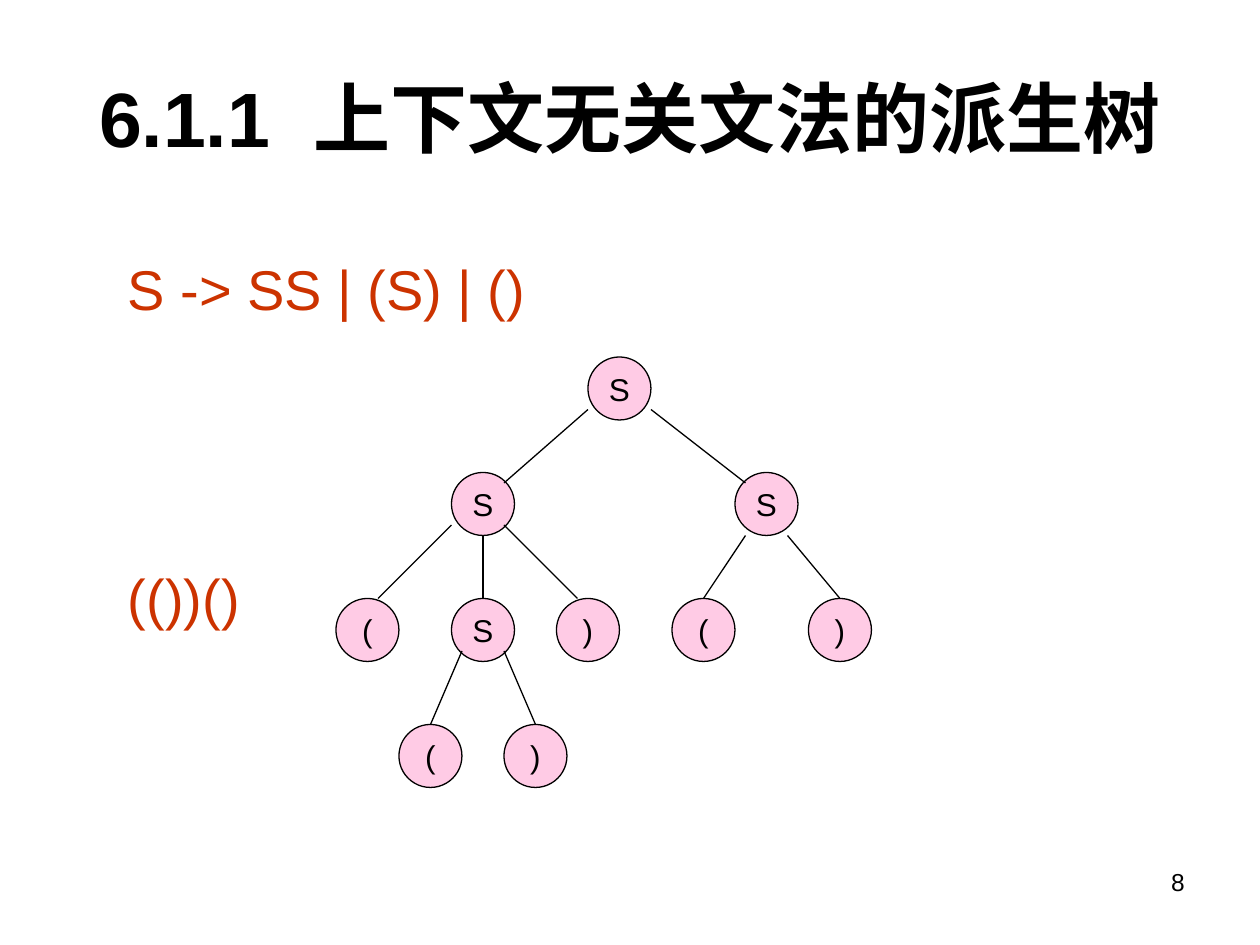
from lxml import etree
from pptx import Presentation
from pptx.dml.color import RGBColor
from pptx.enum.shapes import MSO_CONNECTOR, MSO_SHAPE
from pptx.enum.text import MSO_ANCHOR, PP_ALIGN
from pptx.oxml.ns import qn
from pptx.util import Pt

OVAL, STRAIGHT = MSO_SHAPE.OVAL, MSO_CONNECTOR.STRAIGHT
LEFT, CENTER, RIGHT = PP_ALIGN.LEFT, PP_ALIGN.CENTER, PP_ALIGN.RIGHT
TOP, MIDDLE = MSO_ANCHOR.TOP, MSO_ANCHOR.MIDDLE

COLORS = {"ink": "000000", "grammar": "CC3300", "node": "FF99CC"}
FONT = "Arial"
TITLE = "6.1.1 上下文无关文法的派生树"
TITLE_GAP = 12.2
GRAMMAR = ["S -> SS | (S) | ()", "(())()"]
PAGE = "8"

DIAMETER = 36
LEVELS = [222, 288, 360, 432]
# name: (symbol, centre x, level)
NODES = {
    "root": ("S", 354, 0),
    "left": ("S", 276, 1),
    "right": ("S", 438, 1),
    "left open": ("(", 210, 2),
    "inner": ("S", 276, 2),
    "left close": (")", 336, 2),
    "right open": ("(", 402, 2),
    "right close": (")", 480, 2),
    "inner open": ("(", 246, 3),
    "inner close": (")", 306, 3),
}
BRANCHES = [
    ("root", (-18, 12), "left", (12, -12)),
    ("root", (18, 12), "right", (-12, -12)),
    ("left", (-18, 12), "left open", (6, -18)),
    ("left", (0, 18), "inner", (0, -18)),
    ("left", (12, 12), "left close", (-6, -18)),
    ("inner", (-12, 12), "inner open", (0, -18)),
    ("inner", (12, 12), "inner close", (0, -18)),
    ("right", (-12, 18), "right open", (0, -18)),
    ("right", (12, 18), "right close", (0, -18)),
]


def color(name):
    return RGBColor.from_string(COLORS[name])


def write(frame, lines, size, ink="ink", align=LEFT, anchor=TOP, bold=False,
          wrap=False, gap=0):
    frame.word_wrap = wrap
    frame.vertical_anchor = anchor
    for index, line in enumerate(lines):
        paragraph = frame.paragraphs[0] if index == 0 else frame.add_paragraph()
        paragraph.alignment = align
        if index:
            paragraph.space_before = Pt(gap)
        for part in line if isinstance(line, tuple) else (line,):
            run = paragraph.add_run()
            run.text = part
            run.font.name, run.font.size, run.font.bold = FONT, Pt(size), bold
            run.font.color.rgb = color(ink)
            if part == " ":
                run._r.get_or_add_rPr().set("spc", str(round(TITLE_GAP * 100)))


def place(shape, *box):
    shape.left, shape.top, shape.width, shape.height = map(Pt, box)


def centre(name):
    _, x, level = NODES[name]
    return x, LEVELS[level]


def add_node(shapes, name):
    x, y = centre(name)
    corner = x - DIAMETER / 2, y - DIAMETER / 2
    node = shapes.add_shape(OVAL, *map(Pt, (*corner, DIAMETER, DIAMETER)))
    node.shadow.inherit = False
    node.fill.solid()
    node.fill.fore_color.rgb = color("node")
    srgb = node.fill._xPr.find(".//" + qn("a:srgbClr"))
    etree.SubElement(srgb, qn("a:alpha"), val="50000")
    node.line.color.rgb = color("ink")
    node.line.width = Pt(0.75)
    write(node.text_frame, [NODES[name][0]], 18, align=CENTER, anchor=MIDDLE)


def add_branch(shapes, parent, start, child, end):
    ends = [at + shift for name, offset in ((parent, start), (child, end))
            for at, shift in zip(centre(name), offset)]
    branch = shapes.add_connector(STRAIGHT, *map(Pt, ends))
    branch.line.color.rgb = color("ink")
    branch.line.width = Pt(0.75)
    etree.SubElement(branch._element.spPr, qn("a:effectLst"))


def main():
    """Build the derivation tree slide."""
    deck = Presentation()
    deck.slide_width, deck.slide_height = Pt(720), Pt(540)
    slide = deck.slides.add_slide(deck.slide_layouts[5])
    shapes = slide.shapes

    place(shapes.title, 36, 21.6, 648, 90)
    number, _, heading = TITLE.partition(" ")
    write(shapes.title.text_frame, [(number, " ", heading)], 44, align=CENTER,
          anchor=MIDDLE, bold=True, wrap=True)

    page = shapes.add_textbox(*map(Pt, (516, 492, 168, 37.5)))
    write(page.text_frame, [PAGE], 14, align=RIGHT, wrap=True)

    grammar = shapes.add_textbox(*map(Pt, (66, 142, 244, 182)))
    write(grammar.text_frame, GRAMMAR, 32, ink="grammar", gap=138)

    for name in NODES:
        add_node(shapes, name)
    for branch in BRANCHES:
        add_branch(shapes, *branch)

    deck.save("out.pptx")


if __name__ == "__main__":
    main()
